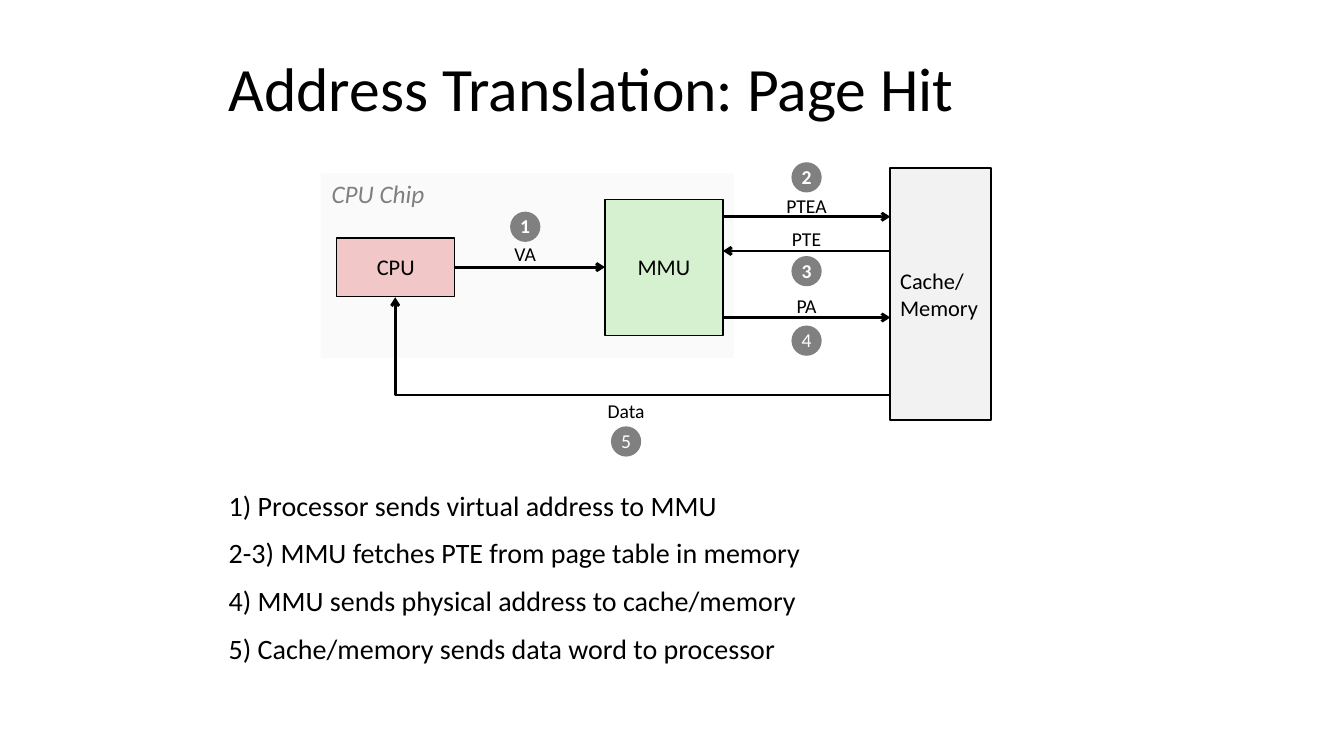
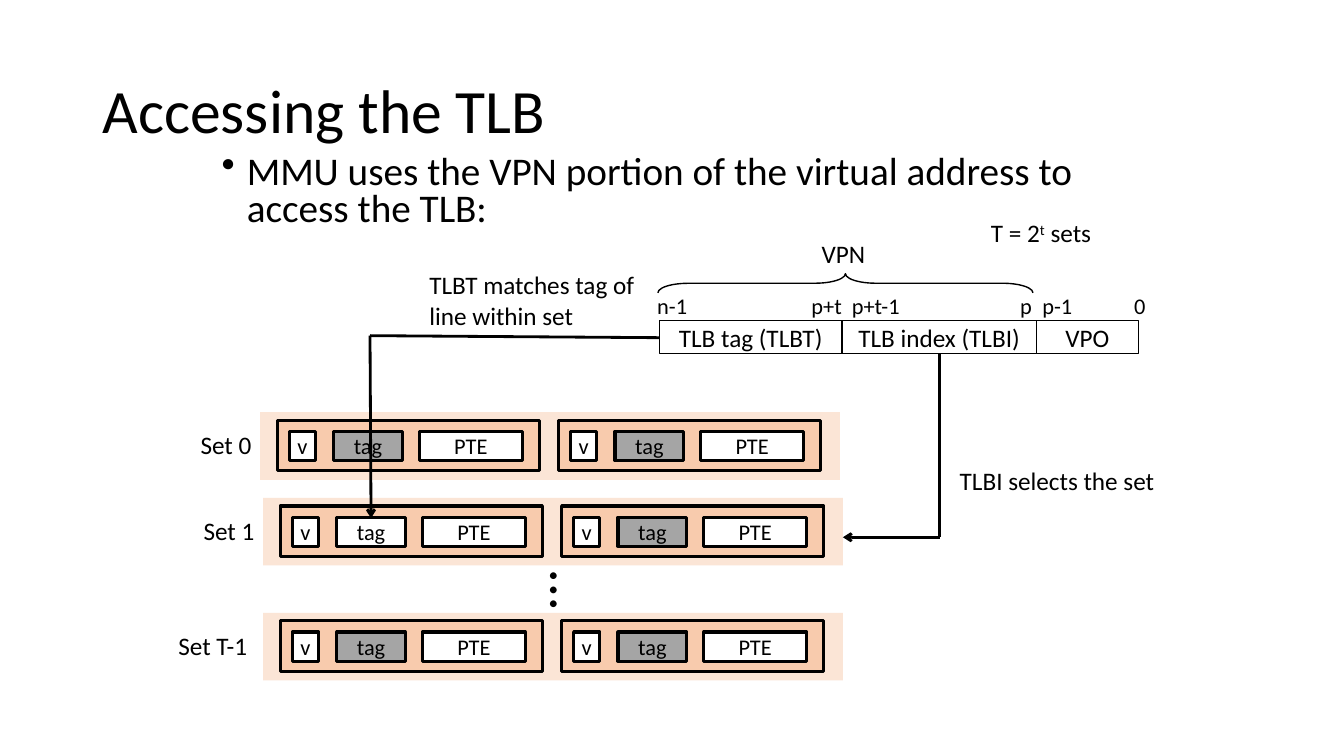
import pptx
import pptx.util
import pptx.dml.color
import pptx.enum.shapes
import pptx.enum.text
import pptx.oxml
import pptx.oxml.ns

Inches = pptx.util.Inches
Pt = pptx.util.Pt
RGB = pptx.dml.color.RGBColor
SHAPE = pptx.enum.shapes.MSO_SHAPE
LINK = pptx.enum.shapes.MSO_CONNECTOR
ALIGN = pptx.enum.text.PP_ALIGN
ANCHOR = pptx.enum.text.MSO_ANCHOR
FIT = pptx.enum.text.MSO_AUTO_SIZE
qn = pptx.oxml.ns.qn

FONT = "Calibri"
BLACK = RGB(0x00, 0x00, 0x00)
WHITE = RGB(0xFF, 0xFF, 0xFF)
GREY = RGB(0x80, 0x80, 0x80)
CHIP = RGB(0xFA, 0xFA, 0xFA)
GREEN = RGB(0xD5, 0xF1, 0xCF)
PINK = RGB(0xF1, 0xC7, 0xC7)
MEMORY = RGB(0xF2, 0xF2, 0xF2)
SET_BAND = RGB(0xFB, 0xE5, 0xD6)
WAY = RGB(0xF8, 0xCB, 0xAD)
TAG = RGB(0xA5, 0xA5, 0xA5)

TITLE = {"size": Pt(44)}
LABEL = {"size": Pt(18)}
SMALL = {"size": Pt(16)}
SIGNAL = {"size": Pt(14)}
TIGHT = {"alignment": ALIGN.CENTER, "line_spacing": 0.98}
CENTER = {"alignment": ALIGN.CENTER}


def set_attrs(obj, values):
    """Set each named attribute on an object."""
    for name, value in values.items():
        setattr(obj, name, value)


def write(tf, lines, font, para=None, frame=None, color=BLACK):
    """Write paragraphs, each a string or a list of (text, baseline) runs."""
    set_attrs(tf, {"word_wrap": False, "vertical_anchor": ANCHOR.MIDDLE, **(frame or {})})
    for i, line in enumerate(lines):
        p = tf.add_paragraph() if i else tf.paragraphs[0]
        set_attrs(p, {"alignment": ALIGN.LEFT, **(para or {})})
        for text, baseline in [(line, None)] if isinstance(line, str) else line:
            r = p.add_run()
            r.text = text
            set_attrs(r.font, {"name": FONT, **font})
            r.font.color.rgb = color
            if baseline:
                r.font._element.set("baseline", baseline)


def add_text(slide, box, lines, font, para=None, frame=None, color=BLACK):
    """Add a text box and return it."""
    sp = slide.shapes.add_textbox(*map(Inches, box))
    write(sp.text_frame, lines, font, para, frame, color)
    return sp


def add_label(slide, box, lines, font, **style):
    """Add a text box that fits its text."""
    frame = {"auto_size": FIT.SHAPE_TO_FIT_TEXT, **style.pop("frame", {})}
    return add_text(slide, box, lines, font, frame=frame, **style)


def add_box(slide, box, fill=None, width=0, kind=SHAPE.RECTANGLE):
    """Add a preset shape with a plain fill and a black outline if it has a width."""
    sp = slide.shapes.add_shape(kind, *map(Inches, box))
    sp.shadow.inherit = False
    if fill is None:
        sp.fill.background()
    else:
        sp.fill.solid()
        sp.fill.fore_color.rgb = fill
    if width:
        sp.line.color.rgb = BLACK
        sp.line.width = Pt(width)
    else:
        sp.line.fill.background()
    return sp


def add_line(slide, start, end, arrow=True, preset=None):
    """Add a connector, with an arrowhead at its end if asked."""
    sp = slide.shapes.add_connector(LINK.STRAIGHT, *map(Inches, (*start, *end)))
    sp.line.color.rgb = BLACK
    sp.line.width = Pt(2)
    props = sp._element.spPr
    if preset:
        props.find(qn("a:prstGeom")).set("prst", preset)
    if arrow:
        ln = sp.line._get_or_add_ln()
        ln.append(pptx.oxml.parse_xml(f'<a:tailEnd {pptx.oxml.ns.nsdecls("a")} type="arrow"/>'))
    props.append(pptx.oxml.parse_xml(f'<a:effectLst {pptx.oxml.ns.nsdecls("a")}/>'))


def add_title(slide, box, text):
    """Add the slide title."""
    add_text(slide, box, [text], TITLE, {"line_spacing": 0.9}, {"word_wrap": True})


def add_body(slide, box, lines, size, spacing, before, bullet=False):
    """Add body paragraphs, bulleted if asked."""
    frame = {"word_wrap": True, "vertical_anchor": ANCHOR.TOP}
    para = {"line_spacing": spacing, "space_before": Pt(before)}
    sp = add_text(slide, box, lines, {"size": Pt(size)}, para, frame)
    for p in sp.text_frame.paragraphs if bullet else []:
        pr = p._p.get_or_add_pPr()
        pr.set("marL", str(Inches(0.25)))
        pr.set("indent", str(-Inches(0.25)))
        pr.append(pptx.oxml.parse_xml(f'<a:buChar {pptx.oxml.ns.nsdecls("a")} char="•"/>'))


def add_signal(slide, x, label_y, badge_y, label, number):
    """Add a signal name and its numbered badge, both centred on x."""
    add_label(slide, (x - 0.3, label_y - 0.17, 0.6, 0.33), [label], SIGNAL, para=TIGHT)
    sp = add_box(slide, (x - 0.15, badge_y - 0.15, 0.3, 0.3), GREY, kind=SHAPE.OVAL)
    write(sp.text_frame, [str(number)], {**SIGNAL, "bold": number < 4}, TIGHT, color=WHITE)


def add_hit_diagram(slide, x, y):
    """Draw the processor, MMU and memory with their five signals."""
    add_box(slide, (x, y + 0.11, 4.1, 1.83), CHIP)
    add_label(slide, (x + 0.01, y + 0.11, 1.16, 0.4), ["CPU Chip"],
              {**LABEL, "italic": True}, color=GREY)
    for dx, dy, w, h, fill, width, lines, para in (
        (2.82, 0.37, 1.17, 1.35, GREEN, 1, ["MMU"], TIGHT),
        (5.65, 0.06, 1, 2.5, MEMORY, 1.5, ["Cache/", "Memory"], None),
        (0.16, 0.75, 1.17, 0.58, PINK, 1, ["CPU"], TIGHT),
    ):
        sp = add_box(slide, (x + dx, y + dy, w, h), fill, width)
        write(sp.text_frame, lines, SMALL, para)
    for x1, x2, dy in ((1.33, 2.82, 1.04), (3.99, 5.65, 0.54),
                       (5.65, 3.99, 0.88), (3.99, 5.65, 1.54)):
        add_line(slide, (x + x1, y + dy), (x + x2, y + dy))
    add_line(slide, (x + 5.65, y + 2.31), (x + 0.74, y + 1.34), preset="bentConnector2")
    signals = (("VA", 2.03, 0.92, 0.64), ("PTEA", 4.82, 0.44, 0.15), ("PTE", 4.82, 0.77, 1.08),
               ("PA", 4.82, 1.44, 1.77), ("Data", 3.03, 2.48, 2.77))
    for number, (label, dx, label_y, badge_y) in enumerate(signals, 1):
        add_signal(slide, x + dx, y + label_y, y + badge_y, label, number)


def add_address(slide, x, y):
    """Draw the virtual address fields, their bit numbers and the VPN brace."""
    left = x
    for text, w in (("TLB tag (TLBT)", 1.81), ("TLB index (TLBI)", 1.93), ("VPO", 1.01)):
        sp = add_box(slide, (left, y, w, 0.33), WHITE, 1)
        write(sp.text_frame, [text], LABEL, CENTER)
        left += w
    for text, dx, w in (("n-1", -0.12, 0.51), ("p+t", 1.41, 0.51), ("p+t-1", 1.81, 0.69),
                        ("p", 3.48, 0.32), ("p-1", 3.7, 0.51), ("0", 4.61, 0.32)):
        add_label(slide, (x + dx, y - 0.33, w, 0.37), [text], SMALL)
    sp = add_box(slide, (x + 1.75, y - 2.23, 0.19, 3.72), None, 1, SHAPE.LEFT_BRACE)
    sp.rotation = 90
    sp.adjustments[0] = 1.595
    sp.adjustments[1] = 0.5
    add_label(slide, (x + 1.51, y - 0.87, 0.65, 0.4), ["VPN"], LABEL)


def add_set(slide, x, y, label, label_x, label_w, match):
    """Draw one TLB set of two ways, with a white first tag if it matches."""
    add_box(slide, (x, y, 5.75, 0.67), SET_BAND)
    add_label(slide, (label_x, y + 0.12, label_w, 0.4), [label], LABEL)
    for way in range(2):
        left = x + 0.17 + 2.79 * way
        add_box(slide, (left, y + 0.08, 2.6, 0.5), WAY, 2.25)
        tag_fill = WHITE if match and way == 0 else TAG
        for text, dx, w, fill in (("PTE", 1.41, 1.02, WHITE), ("tag", 0.56, 0.68, tag_fill),
                                  ("v", 0.12, 0.26, WHITE)):
            sp = add_box(slide, (left + dx, y + 0.19, w, 0.29), fill, 2.25)
            write(sp.text_frame, [text], SMALL, CENTER)


def add_lookup(slide, x, y):
    """Draw the arrows from the address fields at x, y to the set and the tag."""
    add_line(slide, (x + 2.78, y + 0.33), (x + 2.78, y + 2.15), arrow=False)
    add_line(slide, (x + 2.78, y + 2.15), (x + 1.82, y + 2.15))
    add_label(slide, (x + 2.88, y + 1.39, 2.19, 0.4), ["TLBI selects the set"], LABEL)
    add_line(slide, (x, y + 0.17), (x - 2.87, y + 0.15), arrow=False)
    add_line(slide, (x - 2.87, y + 0.15), (x - 2.86, y + 1.96))
    add_label(slide, (x - 2.38, y - 0.56, 2.25, 0.71), ["TLBT matches tag of line within set"],
              LABEL, frame={"word_wrap": True})


def page_hit_slide(slide):
    """Build the page hit slide."""
    add_title(slide, (2.17, 0.48, 9.53, 0.86), "Address Translation: Page Hit")
    add_hit_diagram(slide, 3.18, 1.61)
    add_body(slide, (2.17, 4.83, 7.42, 2.25), [
        "1) Processor sends virtual address to MMU",
        "2-3) MMU fetches PTE from page table in memory",
        "4) MMU sends physical address to cache/memory",
        "5) Cache/memory sends data word to processor",
    ], 20, 0.9, 12.5)


def tlb_slide(slide):
    """Build the TLB access slide."""
    add_title(slide, (0.92, 0.4, 11.5, 1.45), "Accessing the TLB")
    add_body(slide, (2.1, 1.49, 8.64, 0.93),
             ["MMU uses the VPN portion of the virtual address to access the TLB:"],
             28, 0.8, 10, bullet=True)
    add_address(slide, 6.54, 3.18)
    for x, y, label, label_x, label_w, match in (
        (2.58, 4.09, "Set 0", 1.89, 0.72, False),
        (2.61, 4.94, "Set 1", 1.92, 0.72, True),
        (2.61, 6.08, "Set T-1", 1.67, 0.92, False),
    ):
        add_set(slide, x, y, label, label_x, label_w, match)
    sp = add_label(slide, (5, 5.46, 0.6, 0.77), ["…"], {"size": Pt(40)},
                   frame={"vertical_anchor": ANCHOR.TOP})
    sp.rotation = 270
    add_label(slide, (9.73, 2.11, 1.25, 0.4),
              [[("T = 2", None), ("t", "30000"), (" sets", None)]], LABEL,
              frame={"word_wrap": True})
    add_lookup(slide, 6.54, 3.18)


def main():
    """Build and save the presentation."""
    prs = pptx.Presentation()
    set_attrs(prs, {"slide_width": Inches(13.33), "slide_height": Inches(7.5)})
    for build in (page_hit_slide, tlb_slide):
        build(prs.slides.add_slide(prs.slide_layouts[6]))
    prs.save("out.pptx")


if __name__ == "__main__":
    main()
